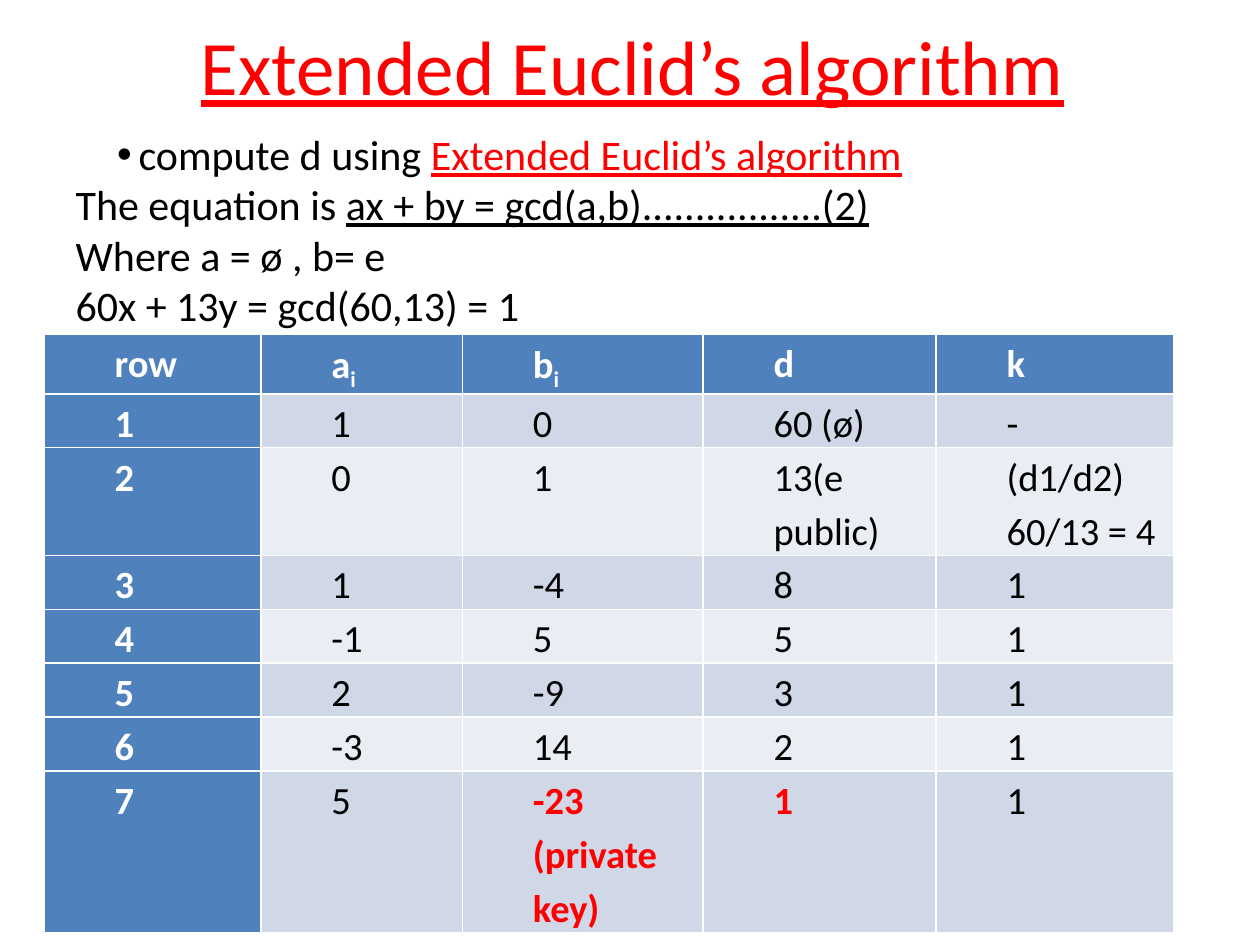
from lxml import etree
from pptx import Presentation
from pptx.dml.color import RGBColor
from pptx.enum.text import MSO_ANCHOR, MSO_AUTO_SIZE, PP_ALIGN
from pptx.oxml.ns import qn
from pptx.util import Inches, Pt

TOP, MIDDLE = MSO_ANCHOR.TOP, MSO_ANCHOR.MIDDLE
FIXED = MSO_AUTO_SIZE.NONE
CENTER, JUSTIFY = PP_ALIGN.CENTER, PP_ALIGN.JUSTIFY

COLORS = {
    "text": "000000",
    "accent": "FF0000",
    "white": "FFFFFF",
    "head": "4F81BD",
    "odd": "D0D8E8",
    "even": "E9EDF4",
}

NAME = "Extended Euclid’s algorithm"

# Each line is a list of runs: text, color, underline
LINES = [
    [("compute d using ", "text", False), (NAME, "accent", True)],
    [("The equation is ", "text", False),
     ("ax + by = gcd(a,b).................(2)", "text", True)],
    [("Where a = ø , b= e", "text", False)],
    [("60x + 13y = gcd(60,13) = 1", "text", False)],
]

# An underscore starts a subscript
ROWS = [
    ["row", "a_i", "b_i", "d", "k"],
    ["1", "1", "0", "60 (ø)", "-"],
    ["2", "0", "1", "13(e public)", "(d1/d2) 60/13 = 4"],
    ["3", "1", "-4", "8", "1"],
    ["4", "-1", "5", "5", "1"],
    ["5", "2", "-9", "3", "1"],
    ["6", "-3", "14", "2", "1"],
    ["7", "5", "-23 (private key)", "1", "1"],
]
WIDTHS = [1.72, 1.6, 1.91, 1.85, 1.89]
LINE = 0.42
TALL = {2: 2, 7: 3}  # row number: lines of text
KEYS = {(7, 2), (7, 3)}  # cells that hold the result


class Deck:
    font = "Calibri"

    def __init__(self):
        self.prs = Presentation()
        self.prs.slide_width, self.prs.slide_height = Inches(10), Inches(7.5)
        self.slide = self.prs.slides.add_slide(self.prs.slide_layouts[1])

    def place(self, shape, box, anchor):
        shape.left, shape.top, shape.width, shape.height = map(Inches, box)
        frame = shape.text_frame
        frame.word_wrap = True
        frame.auto_size = FIXED
        frame.vertical_anchor = anchor
        return frame

    def style(self, font, size, color=None, bold=False):
        font.name, font.size, font.bold = self.font, Pt(size), bold
        if color:
            font.color.rgb = RGBColor.from_string(COLORS[color])

    def indent(self, para, left, first=0, mark=None):
        props = para._p.get_or_add_pPr()
        props.set("marL", str(Inches(left)))
        props.set("indent", str(Inches(first)))
        if mark:
            etree.SubElement(props, qn("a:buFont"), typeface="Arial")
            etree.SubElement(props, qn("a:buChar"), char=mark)
        else:
            etree.SubElement(props, qn("a:buNone"))

    def title(self, text, box):
        para = self.place(self.slide.shapes.title, box, MIDDLE).paragraphs[0]
        para.text = text
        para.alignment = CENTER
        self.style(para.font, 44, "accent")
        para.font.underline = True

    def body(self, lines, box):
        frame = self.place(self.slide.placeholders[1], box, TOP)
        for i, runs in enumerate(lines):
            para = frame.add_paragraph() if i else frame.paragraphs[0]
            para.space_before = Pt(0)
            if i == 0:
                para.level = 1
                self.indent(para, 0.5, -0.17, "•")
            else:
                self.indent(para, 0)
            self.style(para.font, 24)
            for text, color, under in runs:
                run = para.add_run()
                run.text = text
                run.font.color.rgb = RGBColor.from_string(COLORS[color])
                run.font.underline = under

    def cell(self, cell, text, fill, color, bold):
        cell.fill.solid()
        cell.fill.fore_color.rgb = RGBColor.from_string(COLORS[fill])
        cell.margin_left = cell.margin_right = Inches(0.06)
        cell.margin_top = cell.margin_bottom = 0
        para = cell.text_frame.paragraphs[0]
        para.alignment = JUSTIFY
        para.line_spacing = 1.15
        self.indent(para, 0.5)
        for i, part in enumerate(text.split("_")):
            run = para.add_run()
            run.text = part
            self.style(run.font, 22, color, bold)
            if i:
                run._r.get_or_add_rPr().set("baseline", "-25000")

    def table(self, rows, widths, left, top):
        heights = [LINE * TALL.get(r, 1) for r in range(len(rows))]
        size = map(Inches, (left, top, sum(widths), sum(heights)))
        table = self.slide.shapes.add_table(len(rows), len(widths), *size).table
        table.first_col = True
        for col, width in zip(table.columns, widths):
            col.width = Inches(width)
        for r, row in enumerate(rows):
            table.rows[r].height = Inches(heights[r])
            for c, text in enumerate(row):
                if r == 0 or c == 0:
                    look = "head", "white", True
                else:
                    key = (r, c) in KEYS
                    band = "odd" if r % 2 else "even"
                    look = band, "accent" if key else "text", key
                self.cell(table.cell(r, c), text, *look)


def main():
    deck = Deck()
    # Heading
    deck.title(NAME, (0.52, 0.01, 9, 1.01))
    # Equation
    deck.body(LINES, (0.5, 0.97, 8.36, 2.12))
    # Steps of the algorithm
    deck.table(ROWS, WIDTHS, 0.35, 2.65)
    deck.prs.save("out.pptx")


if __name__ == "__main__":
    main()
